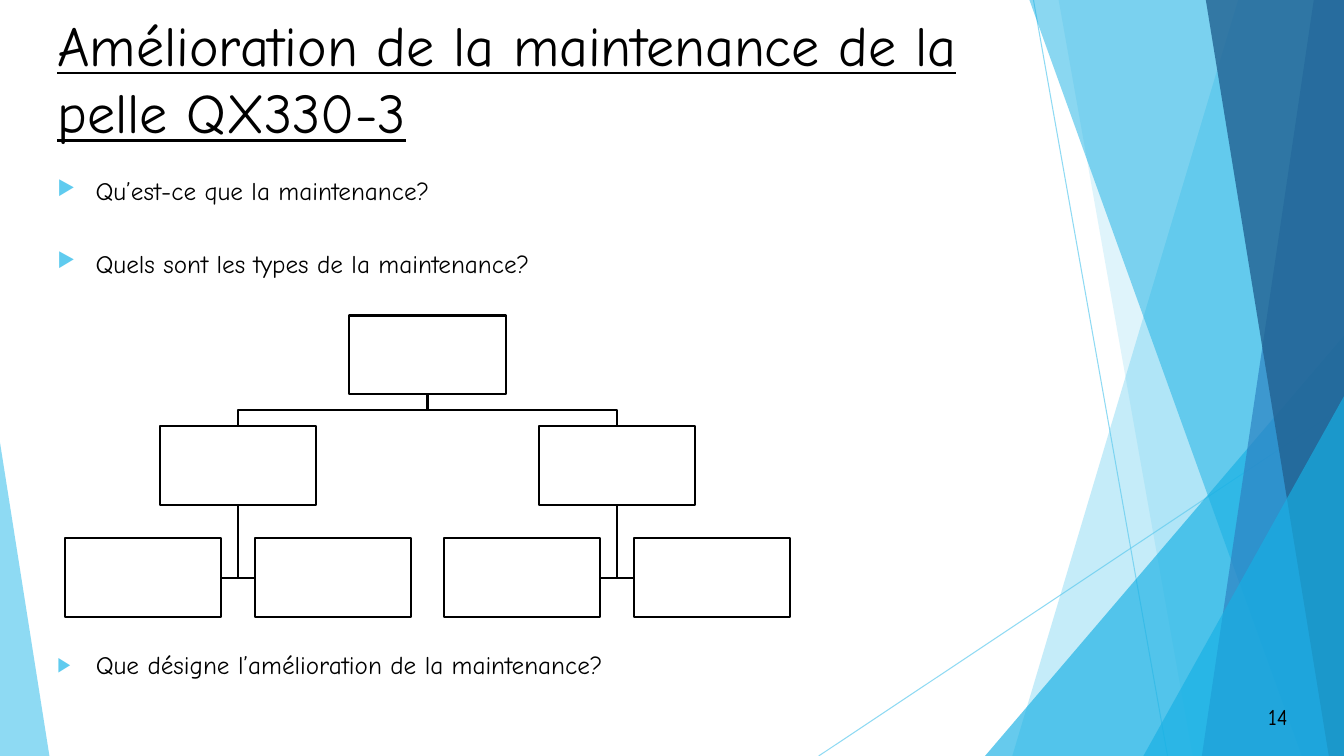
import pptx
import pptx.dml.color
import pptx.enum.shapes
import pptx.enum.text
import pptx.oxml
import pptx.oxml.ns
import pptx.util
from pptx.util import Inches

RGBColor = pptx.dml.color.RGBColor
SHAPE = pptx.enum.shapes.MSO_SHAPE
ALIGN = pptx.enum.text.PP_ALIGN
ANCHOR = pptx.enum.text.MSO_ANCHOR

BLACK = RGBColor(0x00, 0x00, 0x00)
WHITE = RGBColor(0xFF, 0xFF, 0xFF)
SKY = RGBColor(0x5F, 0xCB, 0xEF)
CYAN = RGBColor(0x17, 0xB0, 0xE4)
BLUE = RGBColor(0x2E, 0x83, 0xC3)
NAVY = RGBColor(0x22, 0x62, 0x92)

FONT = "Comic Neue"
WIDTH, HEIGHT = 13.33, 7.5
BOX_WIDTH, BOX_HEIGHT = 1.55, 0.78
LEVEL_TOPS = (3.13, 4.23, 5.34)
ROOT_CENTER = 4.24
BRANCH_OFFSET, LEAF_OFFSET = 1.88, 0.94


def set_opacity(properties, percent):
    """Make the one colour inside a fill or line partly transparent."""
    color = next(properties.iter(pptx.oxml.ns.qn("a:srgbClr")))
    color.append(pptx.oxml.parse_xml(
        f'<a:alpha {pptx.oxml.ns.nsdecls("a")} val="{percent * 1000}"/>'))


def paint_facet(facet, color, opacity):
    facet.shadow.inherit = False
    facet.fill.solid()
    facet.fill.fore_color.rgb = color
    set_opacity(facet.fill._xPr, opacity)
    facet.line.fill.background()


def outline(shape):
    shape.shadow.inherit = False
    shape.line.color.rgb = BLACK
    shape.line.width = pptx.util.Pt(1.5)


def trace(slide, points, close):
    (x, y), *rest = [(Inches(px), Inches(py)) for px, py in points]
    builder = slide.shapes.build_freeform(x, y, scale=1.0)
    builder.add_line_segments(rest, close=close)
    return builder.convert_to_shape()


def add_band(slide, top_x, bottom_x, color, opacity):
    """Fill from a slanted left edge to the right edge of the slide."""
    corners = [(top_x, 0), (WIDTH, 0), (WIDTH, HEIGHT), (bottom_x, HEIGHT)]
    paint_facet(trace(slide, corners, True), color, opacity)


def add_triangle(slide, left, top, width, apex, color, opacity):
    triangle = slide.shapes.add_shape(
        SHAPE.ISOSCELES_TRIANGLE, Inches(left), Inches(top),
        Inches(width), Inches(HEIGHT - top))
    triangle.adjustments[0] = apex
    paint_facet(triangle, color, opacity)


def add_ray(slide, x1, y1, x2, y2):
    ray = slide.shapes.add_connector(
        pptx.enum.shapes.MSO_CONNECTOR.STRAIGHT,
        Inches(x1), Inches(y1), Inches(x2), Inches(y2))
    ray.line.color.rgb = SKY
    ray.line.width = pptx.util.Pt(0.75)
    properties = ray._element.spPr
    set_opacity(properties, 70)
    properties.append(pptx.oxml.parse_xml(
        f'<a:effectLst {pptx.oxml.ns.nsdecls("a")}/>'))


def add_backdrop(slide):
    add_ray(slide, 10.25, 0, 11.58, HEIGHT)
    add_ray(slide, WIDTH, 4.03, 8.12, HEIGHT)
    add_band(slide, 12.28, 10.04, SKY, 36)
    add_band(slide, 10.5, 11.83, SKY, 20)
    add_triangle(slide, 9.77, 3.33, 3.56, 1, CYAN, 66)
    add_band(slide, 10.21, 12.91, CYAN, 50)
    add_band(slide, 13.03, 11.92, BLUE, 70)
    add_band(slide, 11.96, 13.18, NAVY, 80)
    add_triangle(slide, 11.34, 3.93, 1.99, 1, CYAN, 66)
    add_triangle(slide, 0, 4.39, 0.49, 0, SKY, 70)


def write(holder, text, size, align=ALIGN.LEFT, anchor=ANCHOR.TOP):
    """Fill a text holder with one paragraph and return that paragraph."""
    frame = holder.text_frame
    frame.text = text
    frame.word_wrap = True
    frame.auto_size = pptx.enum.text.MSO_AUTO_SIZE.NONE
    frame.vertical_anchor = anchor
    paragraph = frame.paragraphs[0]
    paragraph.alignment = align
    font = paragraph.runs[0].font
    font.name, font.size = FONT, pptx.util.Pt(size)
    font.color.rgb = BLACK
    return paragraph


def place(holder, left, top, width, height):
    holder.left, holder.top = Inches(left), Inches(top)
    holder.width, holder.height = Inches(width), Inches(height)


def write_question(holder, text):
    paragraph = write(holder, text, 18)
    paragraph.space_before = pptx.util.Pt(10)
    properties = paragraph._p.get_or_add_pPr()
    properties.set("marL", str(Inches(0.38)))
    properties.set("indent", str(Inches(-0.38)))
    namespace = pptx.oxml.ns.nsdecls("a")
    for bullet_part in (
            f'<a:buClr {namespace}><a:srgbClr val="{SKY}"/></a:buClr>',
            f'<a:buSzPct {namespace} val="80000"/>',
            f'<a:buChar {namespace} char="▶"/>'):
        properties.append(pptx.oxml.parse_xml(bullet_part))


def add_question(slide, text, top, height):
    question = slide.shapes.add_textbox(
        Inches(0.47), Inches(top), Inches(6.2), Inches(height))
    write_question(question, text)


def add_link(slide, points):
    link = trace(slide, points, False)
    link.fill.background()
    outline(link)


def add_box(slide, center, level):
    box = slide.shapes.add_shape(
        SHAPE.RECTANGLE, Inches(center - BOX_WIDTH / 2),
        Inches(LEVEL_TOPS[level]), Inches(BOX_WIDTH), Inches(BOX_HEIGHT))
    box.fill.solid()
    box.fill.fore_color.rgb = WHITE
    outline(box)


def add_tree(slide):
    root_bottom, branch_bottom = (top + BOX_HEIGHT for top in LEVEL_TOPS[:2])
    branch_top = LEVEL_TOPS[1]
    fork_y = (root_bottom + branch_top) / 2
    leaf_y = LEVEL_TOPS[2] + BOX_HEIGHT / 2
    add_box(slide, ROOT_CENTER, 0)
    for branch in (ROOT_CENTER - BRANCH_OFFSET, ROOT_CENTER + BRANCH_OFFSET):
        add_link(slide, [(ROOT_CENTER, root_bottom), (ROOT_CENTER, fork_y),
                         (branch, fork_y), (branch, branch_top)])
        add_box(slide, branch, 1)
        for side in (-1, 1):
            leaf = branch + side * LEAF_OFFSET
            add_link(slide, [(branch, branch_bottom), (branch, leaf_y),
                             (leaf - side * BOX_WIDTH / 2, leaf_y)])
            add_box(slide, leaf, 2)


def add_page_number(slide, number):
    page_number = slide.shapes.add_textbox(
        Inches(12.28), Inches(6.91), Inches(0.79), Inches(0.4))
    write(page_number, number, 16, ALIGN.CENTER, ANCHOR.MIDDLE)


def main():
    presentation = pptx.Presentation()
    presentation.slide_width = Inches(WIDTH)
    presentation.slide_height = Inches(HEIGHT)
    slide = presentation.slides.add_slide(presentation.slide_layouts[1])
    add_backdrop(slide)

    title = slide.shapes.title
    place(title, 0.47, 0.05, 9.96, 1.61)
    heading = write(
        title, "Amélioration de la maintenance de la pelle QX330-3", 40)
    heading.runs[0].font.underline = True

    add_question(slide, "Qu’est-ce que la maintenance?", 1.69, 0.52)
    add_question(slide, "Quels sont les types de la maintenance?", 2.41, 0.44)
    last_question = slide.placeholders[1]
    place(last_question, 0.47, 6.39, 6.4, 0.58)
    write_question(
        last_question, "Que désigne l’amélioration de la maintenance?")

    add_tree(slide)
    add_page_number(slide, "14")
    presentation.save("out.pptx")


if __name__ == "__main__":
    main()
